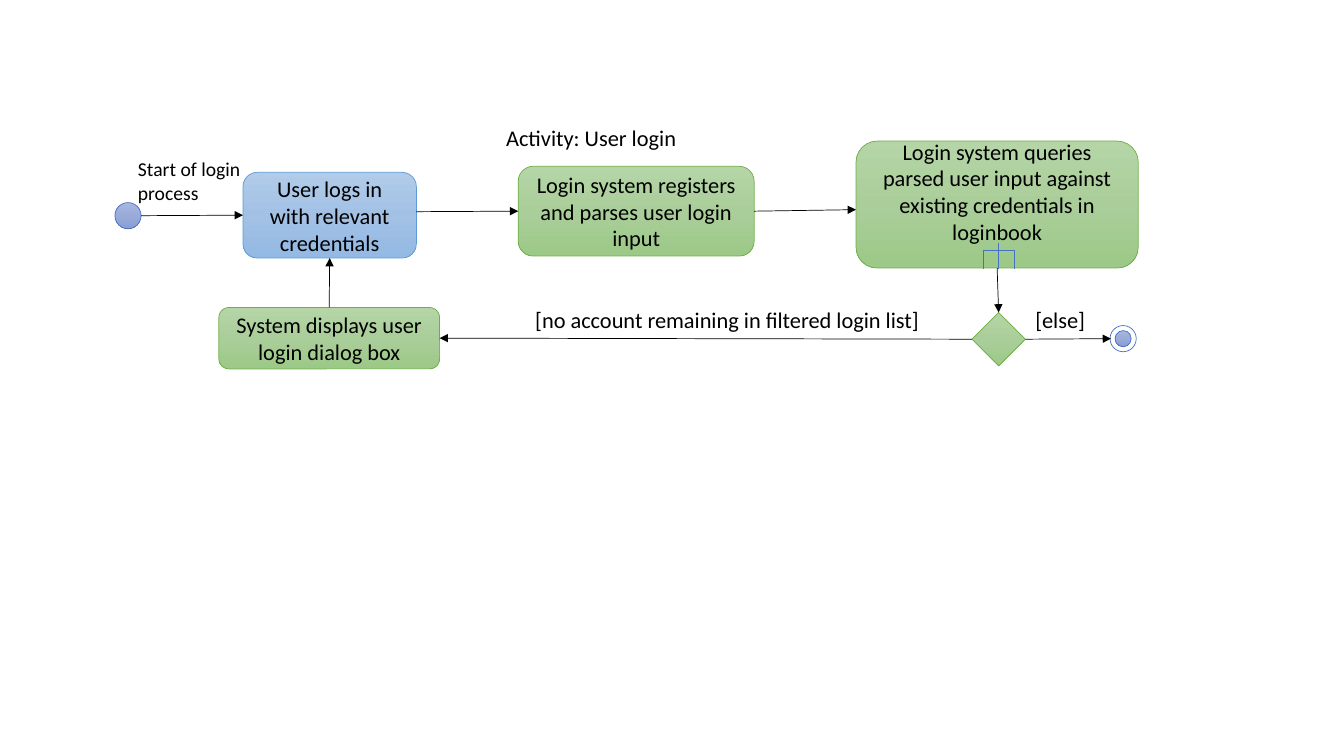
from copy import deepcopy
from dataclasses import dataclass

from lxml.etree import SubElement
from pptx import Presentation
from pptx.dml.color import RGBColor
from pptx.enum.shapes import MSO_CONNECTOR, MSO_SHAPE
from pptx.enum.text import MSO_ANCHOR, PP_ALIGN
from pptx.oxml.ns import qn
from pptx.util import Pt

PX = 9144  # one px is a hundredth of an inch
TOP, LEFT, BOTTOM, RIGHT = range(4)


@dataclass(frozen=True)
class Theme:
    font: str = "Calibri"
    size: int = 16
    small: int = 14
    width: float = 0.5
    ink: str = "000000"
    paper: str = "FFFFFF"
    # Line colour, then the gradient from top to bottom
    blue: tuple = ("5B9BD5", "B1CBE9", "A3C1E5", "93B9E4")
    green: tuple = ("70AD47", "B5D5A7", "AACE9A", "9CC987")
    node: tuple = ("4472C4", "A8B7DF", "9AABD9", "889ED7")


def color(code):
    return RGBColor.from_string(code)


def write(frame, text, font, size, ink, align=PP_ALIGN.LEFT,
          anchor=MSO_ANCHOR.TOP, wrap=True, foot=5):
    """Put formatted text into a frame; foot is the bottom inset."""
    frame.word_wrap = wrap
    frame.vertical_anchor = anchor
    frame.margin_left = frame.margin_right = 10 * PX
    frame.margin_top, frame.margin_bottom = 5 * PX, foot * PX
    para = frame.paragraphs[0]
    para.alignment = align
    run = para.add_run()
    run.text = text
    run.font.name, run.font.size = font, Pt(size)
    run.font.color.rgb = color(ink)


class Chart:
    def __init__(self, slide, theme):
        self.slide, self.theme = slide, theme

    def style(self, **extra):
        look = self.theme
        return {"font": look.font, "size": look.size, "ink": look.ink} | extra

    def shape(self, kind, area, tone, flat=None, home=None):
        home = home or self.slide.shapes
        item = home.add_shape(kind, *(n * PX for n in area))
        item.shadow.inherit = False
        item.line.color.rgb = color(tone[0])
        item.line.width = Pt(self.theme.width)
        if flat:
            item.fill.solid()
            item.fill.fore_color.rgb = color(flat)
            return item
        item.fill.gradient()
        item.fill.gradient_angle = 270
        first = next(item._element.spPr.iter(qn("a:gs")))
        first.addnext(deepcopy(first))
        for step, stop in enumerate(item.fill.gradient_stops):
            stop.position = step / 2
            stop.color.rgb = color(tone[step + 1])
        return item

    def step(self, text, area, tone, foot=5):
        item = self.shape(MSO_SHAPE.ROUNDED_RECTANGLE, area, tone)
        write(item.text_frame, text, **self.style(
            align=PP_ALIGN.CENTER, anchor=MSO_ANCHOR.MIDDLE, foot=foot))
        return item

    def label(self, text, area, **extra):
        box = self.slide.shapes.add_textbox(*(n * PX for n in area))
        write(box.text_frame, text, **self.style(**extra))

    def title(self, text, area):
        item = self.slide.shapes.title
        item.left, item.top, item.width, item.height = (n * PX for n in area)
        write(item.text_frame, text, **self.style(wrap=False))

    def line(self, start, end, ink):
        item = self.slide.shapes.add_connector(
            MSO_CONNECTOR.STRAIGHT, *(n * PX for n in start + end))
        item.line.color.rgb = color(ink)
        item.line.width = Pt(self.theme.width)
        SubElement(item._element.spPr, qn("a:effectLst"))
        return item

    def arrow(self, start, end, begin=None, finish=None):
        """Draw an arrow; begin and finish are (shape, side) to join."""
        item = self.line(start, end, self.theme.ink)
        ln = item._element.spPr.find(qn("a:ln"))
        SubElement(ln, qn("a:tailEnd"), type="triangle")
        if begin:
            item.begin_connect(*begin)
        if finish:
            item.end_connect(*finish)

    def goal(self, area, inset):
        group = self.slide.shapes.add_group_shape()
        left, top, wide, high = area
        inner = (left + inset, top + inset, wide - 2 * inset, high - 2 * inset)
        tone = self.theme.node
        self.shape(MSO_SHAPE.OVAL, area, tone, self.theme.paper, group.shapes)
        self.shape(MSO_SHAPE.OVAL, inner, tone, home=group.shapes)


def main():
    deck = Presentation()
    deck.slide_width, deck.slide_height = 1333 * PX, 750 * PX
    theme = Theme()
    chart = Chart(deck.slides.add_slide(deck.slide_layouts[5]), theme)

    # Title and labels
    chart.title("Activity: User login", (492, 118, 191, 37))
    chart.label("Start of login process", (127, 151, 164, 57), size=theme.small)
    chart.label("[no account remaining in filtered login list]",
                (521, 299, 412, 37))
    chart.label("[else]", (1017, 299, 93, 37))

    # Nodes and steps
    chart.shape(MSO_SHAPE.OVAL, (114, 201, 26, 26), theme.node)
    login = chart.step("User logs in with relevant credentials",
                       (241, 171, 172, 85), theme.blue)
    parser = chart.step("Login system registers and parses user login input",
                        (514, 165, 234, 89), theme.green)
    query = chart.step("Login system queries parsed user input against "
                       "existing credentials in loginbook",
                       (849, 140, 280, 126), theme.green, foot=31)
    dialog = chart.step("System displays user login dialog box",
                        (217, 305, 219, 61), theme.green)
    choice = chart.shape(MSO_SHAPE.DIAMOND, (964, 310, 53, 53), theme.green)
    chart.goal((1101, 323, 26, 26), 5)

    # Rake mark on the query step
    rake = [((975, 267), (975, 248)), ((975, 248), (1006, 248)),
            ((1006, 267), (1006, 248)), ((990, 267), (990, 241))]
    for start, end in rake:
        chart.line(start, end, theme.node[0])

    # Flow arrows
    chart.arrow((140, 214), (241, 213), finish=(login, LEFT))
    chart.arrow((413, 210), (514, 209), finish=(parser, LEFT))
    chart.arrow((748, 209), (849, 208), begin=(parser, RIGHT))
    chart.arrow((989, 266), (990, 310), (query, BOTTOM), (choice, TOP))
    chart.arrow((1017, 336), (1102, 336), begin=(choice, RIGHT))
    chart.arrow((964, 336), (436, 336), (choice, LEFT), (dialog, RIGHT))
    chart.arrow((327, 305), (327, 256), (dialog, TOP), (login, BOTTOM))

    deck.save("out.pptx")


if __name__ == "__main__":
    main()
